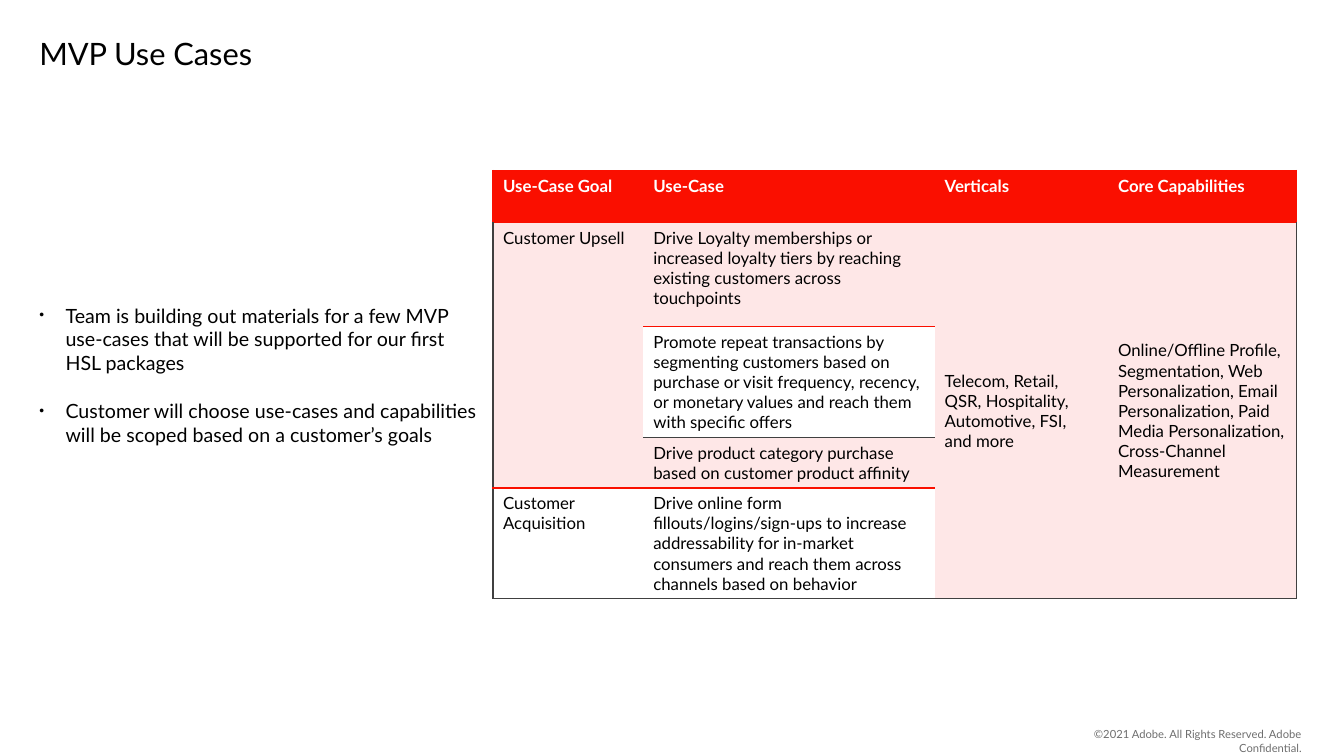
from lxml import etree
from pptx import Presentation
from pptx.dml.color import RGBColor
from pptx.enum.text import MSO_ANCHOR, PP_ALIGN
from pptx.oxml.ns import qn
from pptx.util import Inches, Pt

TOP, MIDDLE = MSO_ANCHOR.TOP, MSO_ANCHOR.MIDDLE
LEFT, RIGHT = PP_ALIGN.LEFT, PP_ALIGN.RIGHT
FONT = "Lato"
BLACK = RGBColor(0x00, 0x00, 0x00)
WHITE = RGBColor(0xFF, 0xFF, 0xFF)
RED = RGBColor(0xFA, 0x0F, 0x00)
PINK = RGBColor(0xFE, 0xE7, 0xE7)
GRAY = RGBColor(0x6E, 0x6E, 0x6E)
DARK = RGBColor(0x40, 0x40, 0x40)
NO_GRID_STYLE = "{2D5ABB26-0587-4C30-8999-92F81FD0307C}"

# Content
TITLE = "MVP Use Cases"
FOOTER = "©2021 Adobe. All Rights Reserved. Adobe Confidential."
BULLETS = [
    "Team is building out materials for a few MVP use-cases that will be "
    "supported for our first HSL packages",
    "Customer will choose use-cases and capabilities will be scoped based on "
    "a customer’s goals",
]
HEADERS = ["Use-Case Goal", "Use-Case", "Verticals", "Core Capabilities"]
USE_CASES = [
    "Drive Loyalty memberships or increased loyalty tiers by reaching "
    "existing customers across touchpoints",
    "Promote repeat transactions by segmenting customers based on purchase or "
    "visit frequency, recency, or monetary values and reach them with "
    "specific offers",
    "Drive product category purchase based on customer product affinity",
    "Drive online form fillouts/logins/sign-ups to increase addressability "
    "for in-market consumers and reach them across channels based on behavior",
]
# Row, column, rows spanned, text, fill, anchor
SPANNING_CELLS = [
    (1, 0, 3, "Customer Upsell", PINK, TOP),
    (4, 0, 1, "Customer Acquisition", WHITE, TOP),
    (1, 2, 4, "Telecom, Retail, QSR, Hospitality, Automotive, FSI, and more",
     PINK, MIDDLE),
    (1, 3, 4, "Online/Offline Profile, Segmentation, Web Personalization, "
     "Email Personalization, Paid Media Personalization, Cross-Channel "
     "Measurement", PINK, MIDDLE),
]
COLUMN_WIDTHS = [1.49, 2.89, 1.72, 1.87]
ROW_HEIGHTS = [0.52, 1.03, 1.1, 0.5, 1.1]


def add_run(paragraph, text, size, color, bold=False):
    run = paragraph.add_run()
    run.text = text
    run.font.name = FONT
    run.font.size = Pt(size)
    run.font.bold = bold
    run.font.color.rgb = color


def add_box(slide, left, top, width, height, inset=0.05, anchor=TOP):
    box = slide.shapes.add_textbox(
        Inches(left), Inches(top), Inches(width), Inches(height))
    frame = box.text_frame
    frame.word_wrap = True
    frame.vertical_anchor = anchor
    frame.margin_left = frame.margin_right = Inches(inset)
    frame.margin_top = frame.margin_bottom = Inches(0.05)
    return frame


def add_bullet(paragraph):
    properties = paragraph._p.get_or_add_pPr()
    properties.set("marL", str(Inches(0.26)))
    properties.set("indent", str(-Inches(0.26)))
    etree.SubElement(properties, qn("a:buSzPct"), val="70000")
    etree.SubElement(properties, qn("a:buFont"), typeface="Arial")
    etree.SubElement(properties, qn("a:buChar"), char="•")


def fill_cell(cell, text, fill, color=BLACK, bold=False, anchor=TOP):
    cell.fill.solid()
    cell.fill.fore_color.rgb = fill
    cell.vertical_anchor = anchor
    add_run(cell.text_frame.paragraphs[0], text, 12, color, bold)


def set_borders(cell, borders):
    """Draw the sides given as {side: color}; lines precede the cell fill."""
    properties = cell._tc.get_or_add_tcPr()
    sides = [side for side in "LRTB" if side in borders]
    for position, side in enumerate(sides):
        line = etree.Element(qn("a:ln" + side), w=str(Pt(1)))
        solid = etree.SubElement(line, qn("a:solidFill"))
        etree.SubElement(solid, qn("a:srgbClr"), val=str(borders[side]))
        properties.insert(position, line)


def add_use_case_table(slide):
    frame = slide.shapes.add_table(
        len(ROW_HEIGHTS), len(COLUMN_WIDTHS), Inches(4.89), Inches(1.69),
        Inches(sum(COLUMN_WIDTHS)), Inches(sum(ROW_HEIGHTS)))
    table = frame.table
    table._tbl.tblPr.find(qn("a:tableStyleId")).text = NO_GRID_STYLE
    table.horz_banding = False
    for column, width in zip(table.columns, COLUMN_WIDTHS):
        column.width = Inches(width)
    for row, height in zip(table.rows, ROW_HEIGHTS):
        row.height = Inches(height)

    # Cell text and fills
    for column, text in enumerate(HEADERS):
        fill_cell(table.cell(0, column), text, RED, WHITE, bold=True)
    for row, text in enumerate(USE_CASES, start=1):
        fill_cell(table.cell(row, 1), text, PINK if row % 2 else WHITE)
    for row, column, span, text, fill, anchor in SPANNING_CELLS:
        cell = table.cell(row, column)
        if span > 1:
            cell.merge(table.cell(row + span - 1, column))
        fill_cell(cell, text, fill, anchor=anchor)

    # Red rules between rows, dark outline around the body
    last_row, last_column = len(ROW_HEIGHTS) - 1, len(COLUMN_WIDTHS) - 1
    rules = {(1, 1): RED, (2, 1): DARK, (3, 1): RED,
             (1, 0): RED, (3, 0): RED}
    for row in range(last_row + 1):
        for column in range(last_column + 1):
            edge = DARK if row else RED
            borders = {}
            if column == 0:
                borders["L"] = edge
            if column == last_column:
                borders["R"] = edge
            if row == 0:
                borders["T"] = borders["B"] = RED
            elif row == last_row:
                borders["B"] = DARK
            elif (row, column) in rules and not (row, column) == (1, 0):
                borders["B"] = rules[row, column]
            if (row - 1, column) in rules and (row - 1, column) != (1, 0):
                borders["T"] = rules[row - 1, column]
            # A merged cell takes its lower edge from its first cell
            if (row, column) == (1, 0):
                borders["B"] = RED
            elif row == 1 and column > 1:
                borders["B"] = DARK
            set_borders(table.cell(row, column), borders)


def main():
    presentation = Presentation()
    presentation.slide_width = Inches(13.33)
    presentation.slide_height = Inches(7.5)
    slide = presentation.slides.add_slide(presentation.slide_layouts[6])

    # Footer
    paragraph = add_box(slide, 10.17, 7.17, 2.84, 0.3, inset=0.1).paragraphs[0]
    paragraph.alignment = RIGHT
    add_run(paragraph, FOOTER, 8, GRAY)

    # Title
    paragraph = add_box(slide, 0.34, 0.34, 12.57, 0.71).paragraphs[0]
    paragraph.alignment = LEFT
    paragraph.line_spacing = 0.9
    add_run(paragraph, TITLE, 22, BLACK)

    # Bullets
    frame = add_box(slide, 0.34, 1.69, 4.49, 4.06, anchor=MIDDLE)
    for index, text in enumerate(BULLETS):
        paragraph = frame.add_paragraph() if index else frame.paragraphs[0]
        add_bullet(paragraph)
        if index:
            paragraph.space_before = Pt(18)
        add_run(paragraph, text, 14, BLACK)

    # Table
    add_use_case_table(slide)
    presentation.save("out.pptx")


if __name__ == "__main__":
    main()
